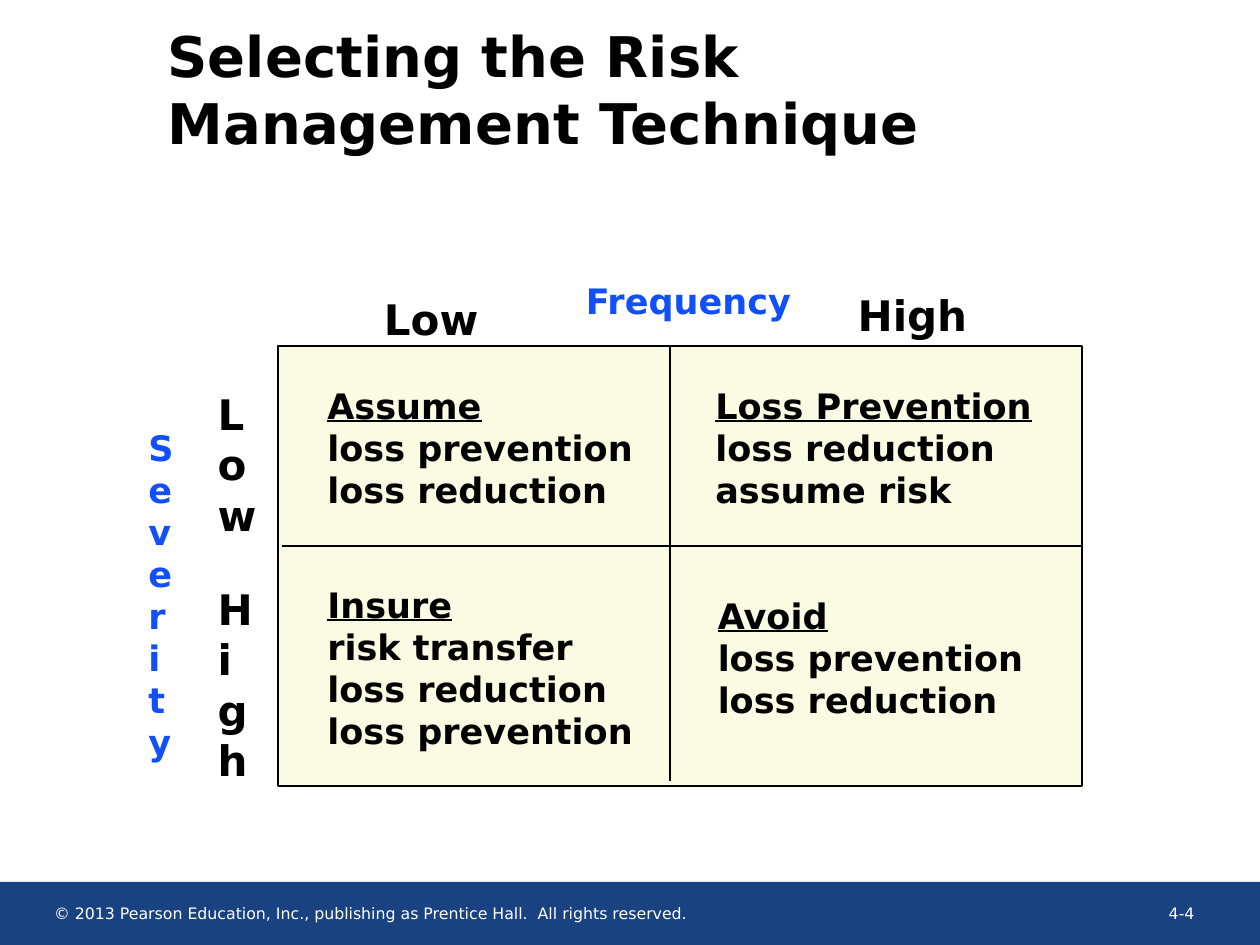
from dataclasses import dataclass

from lxml.etree import SubElement
from pptx import Presentation
from pptx.dml.color import RGBColor
from pptx.enum.shapes import MSO_CONNECTOR, MSO_SHAPE
from pptx.enum.text import MSO_ANCHOR, MSO_AUTO_SIZE, PP_ALIGN
from pptx.oxml.ns import qn
from pptx.util import Cm, Pt


@dataclass(frozen=True)
class Theme:
    font: str = "DejaVu Sans"
    ink: str = "000000"
    accent: str = "114FFB"
    panel: str = "FBFAE2"
    footer: str = "194281"
    white: str = "FFFFFF"
    title_size: int = 32
    label_size: int = 24
    body_size: int = 20
    footer_size: int = 9


THEME = Theme()

# Matrix geometry in cm: outer box and the two dividers
LEFT, TOP, WIDTH, HEIGHT = 5.61, 6.98, 16.21, 8.86
DIVIDER_X, DIVIDER_Y = 13.51, 11

# Axis labels: text, box in cm, size, colour
LABELS = [
    ("Frequency", (11.56, 5.51, 5.28, 1.09), THEME.body_size, THEME.accent),
    ("Low", (7.49, 5.79, 2.79, 1.27), THEME.label_size, THEME.ink),
    ("High", (17.04, 5.71, 3.86, 1.27), THEME.label_size, THEME.ink),
    # Boxes one letter wide, so the words run downwards
    ("Severity", (2.74, 8.46, 0.97, 7.01), THEME.body_size, THEME.accent),
    ("Low", (4.14, 7.7, 0.94, 3.3), THEME.label_size, THEME.ink),
    ("High", (4.14, 11.63, 0.99, 4.32), THEME.label_size, THEME.ink),
]

# Techniques: first line is the preferred one
QUADRANTS = [
    (["Assume", "loss prevention", "loss reduction"], (6.35, 7.62, 7.52, 2.79)),
    (["Loss Prevention", "loss reduction", "assume risk"],
     (14.17, 7.62, 7.77, 2.79)),
    (["Insure", "risk transfer", "loss reduction", "loss prevention"],
     (6.35, 11.63, 7.52, 3.63)),
    (["Avoid", "loss prevention", "loss reduction"], (14.22, 11.86, 6.96, 2.79)),
]


def write(tf, lines, size=THEME.body_size, color=THEME.ink, bold=True,
          align=PP_ALIGN.LEFT, anchor=MSO_ANCHOR.TOP, underline_first=False,
          inset=(0.25, 0.13)):
    """Fill a text frame with one paragraph per line."""
    tf.word_wrap = True
    tf.auto_size = MSO_AUTO_SIZE.NONE
    tf.vertical_anchor = anchor
    tf.margin_left = tf.margin_right = Cm(inset[0])
    tf.margin_top = tf.margin_bottom = Cm(inset[1])
    for i, line in enumerate(lines):
        p = tf.paragraphs[0] if i == 0 else tf.add_paragraph()
        p.alignment = align
        r = p.add_run()
        r.text = line
        r.font.name = THEME.font
        r.font.size = Pt(size)
        r.font.bold = bold
        r.font.underline = underline_first and i == 0
        r.font.color.rgb = RGBColor.from_string(color)


def add_text(s, box, lines, **fmt):
    sp = s.shapes.add_textbox(*map(Cm, box))
    write(sp.text_frame, lines, **fmt)


def add_rect(s, box, fill, line=None):
    sp = s.shapes.add_shape(MSO_SHAPE.RECTANGLE, *map(Cm, box))
    sp.shadow.inherit = False
    sp.fill.solid()
    sp.fill.fore_color.rgb = RGBColor.from_string(fill)
    if line:
        sp.line.color.rgb = RGBColor.from_string(line)
        sp.line.width = Pt(1)
    else:
        sp.line.fill.background()


def add_line(s, *ends):
    cxn = s.shapes.add_connector(MSO_CONNECTOR.STRAIGHT, *map(Cm, ends))
    cxn.line.color.rgb = RGBColor.from_string(THEME.ink)
    cxn.line.width = Pt(1)
    SubElement(cxn._element.spPr, qn("a:effectLst"))


def set_title(s, box, text):
    sp = s.shapes.title
    sp.left, sp.top, sp.width, sp.height = map(Cm, box)
    write(sp.text_frame, [text], size=THEME.title_size,
          anchor=MSO_ANCHOR.MIDDLE, inset=(0, 0))


def add_footer(s):
    fmt = dict(size=THEME.footer_size, color=THEME.white, bold=False, inset=(0, 0))
    add_rect(s, (0, 17.78, 25.4, 1.27), THEME.footer)
    add_text(s, (1.09, 18.21, 14.99, 0.51),
             ["© 2013 Pearson Education, Inc., publishing as Prentice Hall. "
              " All rights reserved."], **fmt)
    add_text(s, (23.18, 18.21, 1, 0.51), ["4-4 "], align=PP_ALIGN.RIGHT, **fmt)


def add_matrix(s):
    # Panel and dividers
    add_rect(s, (LEFT, TOP, WIDTH, HEIGHT), THEME.panel, THEME.ink)
    add_line(s, DIVIDER_X, TOP, DIVIDER_X, TOP + HEIGHT - 0.09)
    add_line(s, LEFT + 0.08, DIVIDER_Y, LEFT + WIDTH, DIVIDER_Y)
    # Axis labels
    for text, box, size, color in LABELS:
        add_text(s, box, [text], size=size, color=color)
    # Quadrant texts
    for lines, box in QUADRANTS:
        add_text(s, box, lines, underline_first=True)


def main():
    prs = Presentation()
    prs.slide_width, prs.slide_height = Cm(25.4), Cm(19.05)
    s = prs.slides.add_slide(prs.slide_layouts[5])
    add_footer(s)
    set_title(s, (3.38, 0.2, 19.89, 3.18),
              "Selecting the Risk Management Technique")
    add_matrix(s)
    prs.save("out.pptx")


if __name__ == "__main__":
    main()
